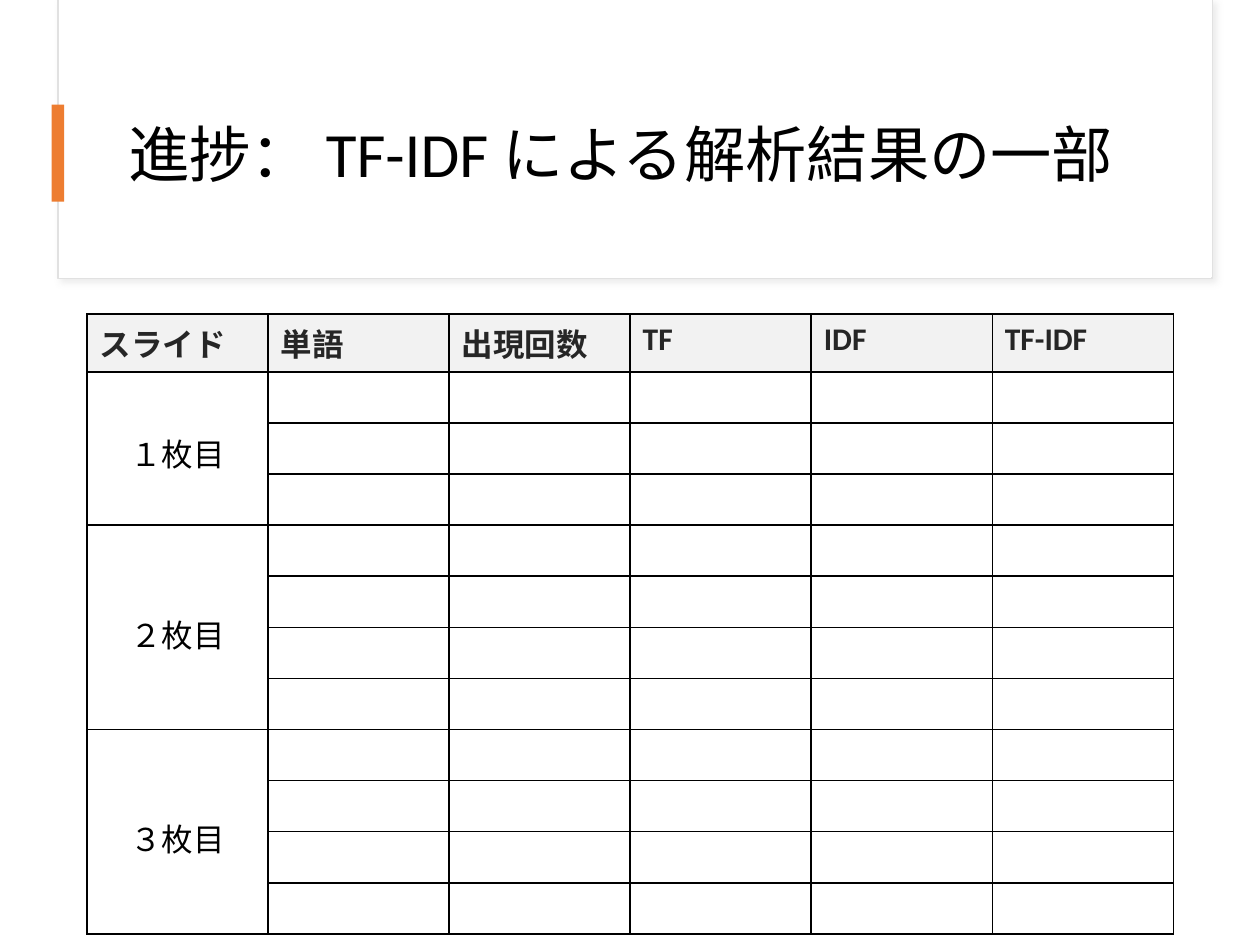
from pptx import Presentation
from pptx.dml.color import RGBColor
from pptx.enum import shapes, text
from pptx.oxml import parse_xml
from pptx.oxml.ns import nsdecls
from pptx.util import Pt

COLORS = {"paper": "FFFFFF", "ink": "000000", "heading": "262626", "band": "F2F2F2",
          "edge": "E1E1E1", "shade": "D9D9D9", "accent": "ED7D31"}
HEADINGS = ["スライド", "単語", "出現回数", "TF", "IDF", "TF-IDF"]
GROUPS = [("１枚目", 3, 8), ("２枚目", 4, 11), ("３枚目", 4, 11)]


def rgb(name):
    """Return the named colour."""
    return RGBColor.from_string(COLORS[name])


def write(frame, parts, color="ink", bold=False, align=text.PP_ALIGN.LEFT, spacing=None):
    """Write (text, size) parts as the runs of one paragraph."""
    line = frame.paragraphs[0]
    line.alignment = align
    line.line_spacing = spacing
    for words, size in parts:
        run = line.add_run()
        run.text = words
        run.font.name = "Calibri"
        run.font.size = Pt(size)
        run.font.bold = bold
        run.font.color.rgb = rgb(color)


def add_panel(slide, left, top, width, height, fill, edge=None):
    """Add a filled rectangle, outlined if an edge colour is given."""
    panel = slide.shapes.add_shape(shapes.MSO_SHAPE.RECTANGLE,
                                   Pt(left), Pt(top), Pt(width), Pt(height))
    panel.shadow.inherit = False
    panel.fill.solid()
    panel.fill.fore_color.rgb = rgb(fill)
    if edge:
        panel.line.color.rgb = rgb(edge)
        panel.line.width = Pt(0.75)
    else:
        panel.line.fill.background()
    return panel


def cast_shadow(panel):
    """Give a panel a soft shadow to its lower right."""
    effects = panel._element.spPr.find(
        "{http://schemas.openxmlformats.org/drawingml/2006/main}effectLst")
    effects.append(parse_xml(
        f'<a:outerShdw {nsdecls("a")} blurRad="{Pt(4)}" dist="{Pt(3)}" dir="2700000" '
        f'algn="tl" rotWithShape="0"><a:srgbClr val="{COLORS["shade"]}">'
        '<a:alpha val="50000"/></a:srgbClr></a:outerShdw>'))


def add_header(slide, left, top, width, height):
    """Build the title card with its accent bar."""
    cast_shadow(add_panel(slide, left, top, width, height, "paper", edge="edge"))
    add_panel(slide, left + 0.7, top, width - 0.7, height - 0.7, "paper")
    title = slide.shapes.add_textbox(Pt(left + 33.1), Pt(top + 43.2), Pt(600.5), Pt(92.9))
    frame = title.text_frame
    frame.word_wrap = True
    frame.vertical_anchor = text.MSO_ANCHOR.MIDDLE
    write(frame, [("進捗： ", 35), ("TF-IDF", 36), (" による解析結果の一部", 35)], spacing=0.9)
    add_panel(slide, left - 3.6, top + 59.8, 7.2, 55.4, "accent")


def style_cell(cell, fill):
    """Fill a cell and draw its four borders."""
    properties = cell._tc.get_or_add_tcPr()
    for side in ("lnL", "lnR", "lnT", "lnB"):
        properties.append(parse_xml(
            f'<a:{side} {nsdecls("a")} w="{Pt(1)}"><a:solidFill>'
            f'<a:srgbClr val="{COLORS["ink"]}"/></a:solidFill></a:{side}>'))
    cell.fill.solid()
    cell.fill.fore_color.rgb = rgb(fill)


def add_results(slide, left, top, width, height, heading_height=33.2):
    """Build the results table, one merged label for each group of rows."""
    row_count = 1 + sum(count for _, count, _ in GROUPS)
    results = slide.shapes.add_table(row_count, len(HEADINGS), Pt(left), Pt(top),
                                     Pt(width), Pt(height)).table
    for column in results.columns:
        column.width = Pt(width / len(HEADINGS))
    for index, row in enumerate(results.rows):
        row.height = Pt((height - heading_height) / (row_count - 1) if index
                        else heading_height)
        for cell in row.cells:
            style_cell(cell, "paper" if index else "band")
    for column, heading in enumerate(HEADINGS):
        write(results.cell(0, column).text_frame, [(heading, 18)], color="heading", bold=True)
    first = 1
    for label, count, inset in GROUPS:
        cell = results.cell(first, 0)
        cell.merge(results.cell(first + count - 1, 0))
        cell.vertical_anchor = text.MSO_ANCHOR.MIDDLE
        cell.margin_top = Pt(inset)
        write(cell.text_frame, [(label, 18)], align=text.PP_ALIGN.CENTER)
        first += count


def main():
    """Build and save the slide."""
    deck = Presentation()
    deck.slide_width, deck.slide_height = Pt(720), Pt(540)
    slide = deck.slides.add_slide(deck.slide_layouts[6])
    add_header(slide, 33.1, 0, 659.5, 159.1)
    add_results(slide, 49.7, 179.3, 620.8, 354.4)
    deck.save("out.pptx")


main()
